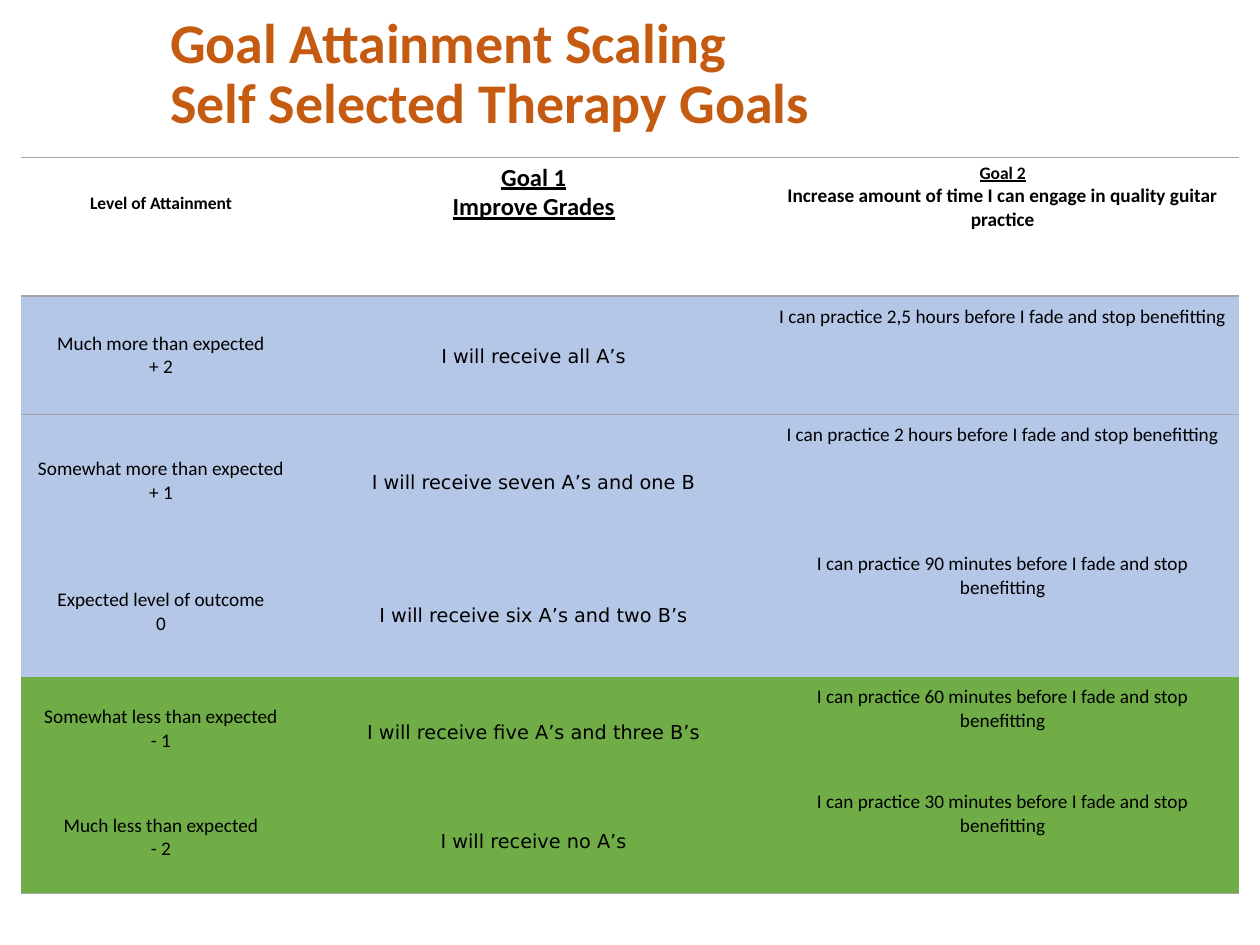
from lxml.etree import SubElement
from pptx import Presentation
from pptx.dml.color import RGBColor
from pptx.enum.text import MSO_ANCHOR as Anchor, MSO_AUTO_SIZE as Fit, PP_ALIGN as Align
from pptx.oxml.ns import qn
from pptx.util import Pt

ORANGE, GRAY, BLUE, GREEN, BLACK = "C55A11", "A5A5A5", "B4C7E7", "70AD47", "000000"
NO_STYLE = "{2D5ABB26-0587-4C30-8999-92F81FD0307C}"
SANS, WIDE = "Calibri", "DejaVu Sans"
COLS = [160, 266, 270]
ROWS = [79.2, 67.7, 75.6, 74.2, 59.8, 64.1]

# Level, score, grade result, practice time, fill, top margins of the last two cells
LEVELS = [
    ("Much more than expected", "+ 2", "all A’s", "2,5 hours", BLUE, 5, 5),
    ("Somewhat more than expected", "+ 1", "seven A’s and one B", "2 hours", BLUE, 5, 5),
    ("Expected level of outcome", "0", "six A’s and two B’s", "90 minutes", BLUE, 8, 3),
    ("Somewhat less than expected", "- 1", "five A’s and three B’s", "60 minutes", GREEN, 8, 5),
    ("Much less than expected", "- 2", "no A’s", "30 minutes", GREEN, 8, 5),
]


def color(code):
    return RGBColor.from_string(code)


class Deck:
    def __init__(self):
        self.prs = Presentation()
        self.prs.slide_width, self.prs.slide_height = Pt(720), Pt(540)
        self.slide = self.prs.slides.add_slide(self.prs.slide_layouts[5])

    def style(self, para, size, face=SANS, bold=False, line=False, ink=BLACK):
        font = para.font
        font.size, font.name, font.bold, font.underline = Pt(size), face, bold, line
        font.color.rgb = color(ink)

    def title(self, text, left, top, width, height):
        box = self.slide.shapes.title
        box.left, box.top, box.width, box.height = map(Pt, (left, top, width, height))
        frame = box.text_frame
        frame.text = text
        frame.auto_size, frame.vertical_anchor = Fit.NONE, Anchor.MIDDLE
        para = frame.paragraphs[0]
        para.alignment, para.line_spacing = Align.LEFT, 0.9
        self.style(para, 32, bold=True, ink=ORANGE)

    def table(self, left, top, cols, rows):
        frame = self.slide.shapes.add_table(
            len(rows), len(cols), Pt(left), Pt(top), Pt(sum(cols)), Pt(sum(rows)))
        table = frame.table
        table.first_row = table.horz_banding = False
        table._tbl.tblPr.find(qn("a:tableStyleId")).text = NO_STYLE
        for col, width in zip(table.columns, cols):
            col.width = Pt(width)
        for row, height in zip(table.rows, rows):
            row.height = Pt(height)
        return table

    def cell(self, cell, lines, fill=None, top=3, anchor=Anchor.TOP, edges=()):
        """Fill a cell; each line is its text and a dict of style options."""
        cell.margin_left = cell.margin_right = Pt(5)
        cell.margin_top, cell.margin_bottom = Pt(top), Pt(3)
        cell.vertical_anchor = anchor
        for edge in edges:
            self.edge(cell, edge)
        if fill:
            cell.fill.solid()
            cell.fill.fore_color.rgb = color(fill)
        else:
            cell.fill.background()
        cell.text = "\n".join(text for text, _ in lines)
        for para, (_, look) in zip(cell.text_frame.paragraphs, lines):
            para.alignment = Align.CENTER
            self.style(para, **look)

    def edge(self, cell, name):
        line = SubElement(cell._tc.get_or_add_tcPr(), qn("a:" + name), w=str(Pt(1)))
        solid = SubElement(line, qn("a:solidFill"))
        SubElement(solid, qn("a:srgbClr"), val=GRAY)


def main():
    deck = Deck()
    deck.title("Goal Attainment Scaling \vSelf Selected Therapy Goals", 90, 18, 486, 50)
    table = deck.table(12, 90, COLS, ROWS)

    big = dict(size=14, bold=True, line=True)
    heads = [
        ([("Level of Attainment", dict(size=10, bold=True))], 20),
        ([("Goal 1", big), ("Improve Grades", big)], 3),
        ([("Goal 2", dict(size=10, bold=True, line=True)),
          ("Increase amount of time I can engage in quality guitar practice",
           dict(size=11, bold=True))], 3),
    ]
    for col, (lines, top) in enumerate(heads):
        deck.cell(table.cell(0, col), lines, top=top, edges=("lnT", "lnB"))

    plain, wide = dict(size=11), dict(size=11, face=WIDE)
    edges = {1: ("lnT",), len(LEVELS): ("lnB",)}
    for row, (level, score, grade, time, fill, mid, last) in enumerate(LEVELS, 1):
        practice = f"I can practice {time} before I fade and stop benefitting"
        cells = [
            ([(level, plain), (score, plain)], 3, Anchor.MIDDLE),
            ([(f"I will receive {grade}", wide)], mid, Anchor.MIDDLE),
            ([(practice, plain)], last, Anchor.TOP),
        ]
        for col, (lines, top, anchor) in enumerate(cells):
            deck.cell(table.cell(row, col), lines, fill, top, anchor, edges.get(row, ()))

    deck.prs.save("out.pptx")


if __name__ == "__main__":
    main()
